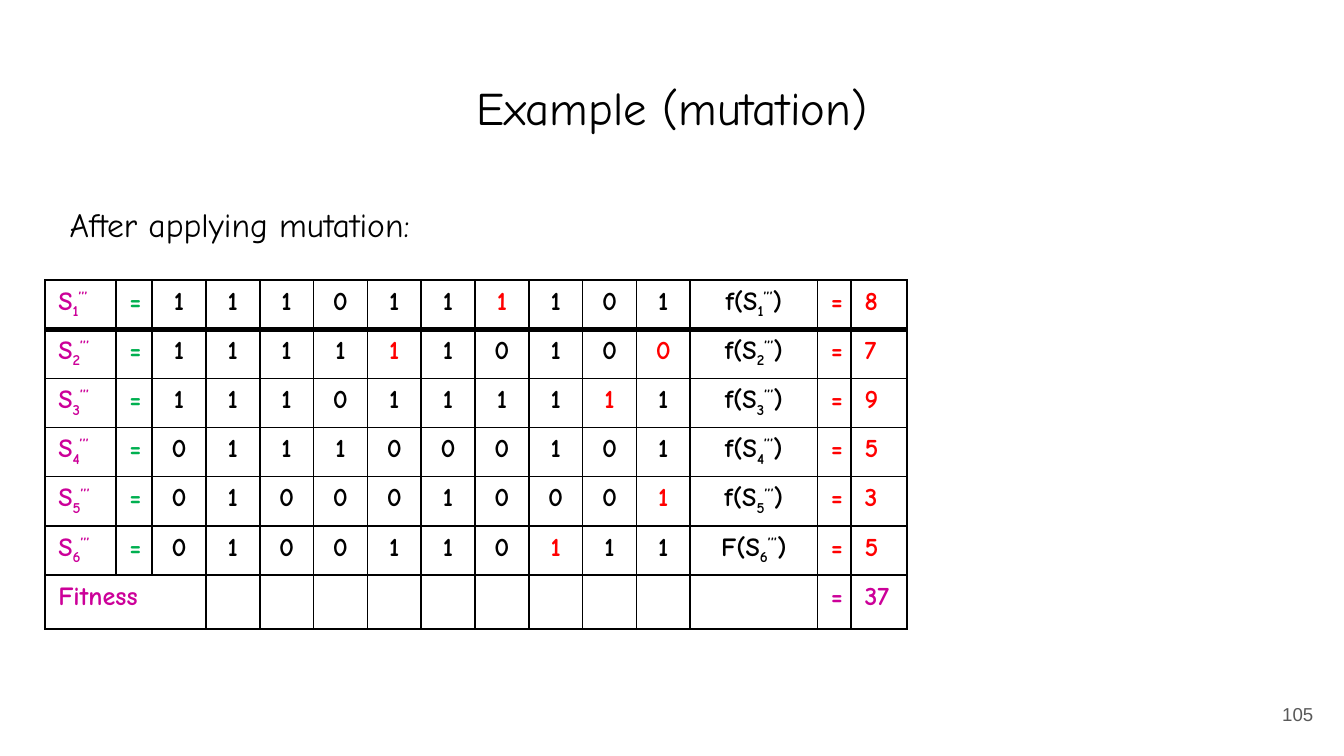
from lxml import etree
from pptx import Presentation
from pptx.dml.color import RGBColor
from pptx.enum.text import MSO_ANCHOR, PP_ALIGN
from pptx.oxml.ns import qn
from pptx.util import Pt

LEFT, CENTER, RIGHT = PP_ALIGN.LEFT, PP_ALIGN.CENTER, PP_ALIGN.RIGHT
TOP, MIDDLE = MSO_ANCHOR.TOP, MSO_ANCHOR.MIDDLE

THEME = {
    "black": "000000",
    "grey": "595959",
    "purple": "CC0099",
    "green": "00B050",
    "red": "FF0000",
    "title": {"name": "Comic Neue", "size": Pt(25), "bold": False},
    "lead": {"name": "Comic Neue", "size": Pt(18), "bold": False},
    "cell": {"name": "Comic Neue", "size": Pt(14), "bold": True},
    "number": {"name": "Arial", "size": Pt(10), "bold": False},
}
SUBSCRIPT, SUPERSCRIPT = -25000, 30000


def write(frame, parts, style, color, align=LEFT):
    """Fill the first paragraph with (text, baseline) parts in one style."""
    para = frame.paragraphs[0]
    para.alignment = align
    for text, baseline in parts:
        span = para.add_run()
        span.text = text
        for name, value in THEME[style].items():
            setattr(span.font, name, value)
        span.font.color.rgb = RGBColor.from_string(THEME[color])
        if baseline:
            span.font._element.set("baseline", str(baseline))


def draw_borders(cell, widths):
    """Set solid borders from a dict of side letter to width in points."""
    properties = cell._tc.get_or_add_tcPr()
    for index, (side, width) in enumerate(widths.items()):
        line = etree.Element(qn(f"a:ln{side}"), w=str(Pt(width)))
        fill = etree.SubElement(line, qn("a:solidFill"))
        etree.SubElement(fill, qn("a:srgbClr"), val=THEME["black"])
        properties.insert(index, line)


deck = Presentation()
deck.slide_width, deck.slide_height = Pt(720), Pt(405)
page = deck.slides.add_slide(deck.slide_layouts[6])

# Title, lead-in and page number
text_boxes = [
    ("Example (mutation)", (24.5, 35.3, 671, 45.4), "title", "black", CENTER, TOP),
    ("After applying mutation:", (30.2, 102.2, 236.2, 36), "lead", "black", LEFT, TOP),
    ("105", (667.4, 367.2, 43.2, 31), "number", "grey", RIGHT, MIDDLE),
]
for text, place, style, color, align, anchor in text_boxes:
    frame = page.shapes.add_textbox(*map(Pt, place)).text_frame
    margins = dict.fromkeys(("margin_left", "margin_right", "margin_top", "margin_bottom"), Pt(7.2))
    for name, value in {"word_wrap": True, "vertical_anchor": anchor, **margins}.items():
        setattr(frame, name, value)
    write(frame, [(text, 0)], style, color, align)

# Chromosomes: bits, mutated positions, function letter, fitness
chromosomes = [
    ("1110111101", {6}, "f", 8),
    ("1111110100", {4, 9}, "f", 7),
    ("1110111111", {8}, "f", 9),
    ("0111000101", set(), "f", 5),
    ("0100010001", {9}, "f", 3),
    ("0100110111", {7}, "F", 5),
]
column_widths = [38.1, 19.4] + [28.85] * 10 + [68.2, 18, 30.1]
row_height = 26.3
total_row = len(chromosomes)
row_count, column_count = total_row + 1, len(column_widths)

table = page.shapes.add_table(
    row_count, column_count, Pt(24), Pt(150), Pt(sum(column_widths)), Pt(row_height * row_count)
).table
table.first_row = table.horz_banding = False
for column, width in zip(table.columns, column_widths):
    column.width = Pt(width)
for row in table.rows:
    row.height = Pt(row_height)

for row in range(row_count):
    for column in range(column_count):
        cell = table.cell(row, column)
        cell.fill.background()
        draw_borders(cell, {"L": 1, "R": 1, "T": 3 if row == 1 else 1, "B": 3 if row == 0 else 1})

for row, (bits, mutated, letter, fitness) in enumerate(chromosomes):
    marks = [(str(row + 1), SUBSCRIPT), ("’’’", SUPERSCRIPT)]
    contents = [([("S", 0)] + marks, "purple", LEFT), ([("=", 0)], "green", LEFT)]
    for position, bit in enumerate(bits):
        contents.append(([(bit, 0)], "red" if position in mutated else "black", CENTER))
    contents += [
        ([(f"{letter}(S", 0)] + marks + [(")", 0)], "black", CENTER),
        ([("=", 0)], "red", LEFT),
        ([(str(fitness), 0)], "red", LEFT),
    ]
    for column, (parts, color, align) in enumerate(contents):
        write(table.cell(row, column).text_frame, parts, "cell", color, align)

# Total fitness
table.cell(total_row, 0).merge(table.cell(total_row, 2))
total = sum(fitness for *_, fitness in chromosomes)
for column, text in ((0, "Fitness"), (column_count - 2, "="), (column_count - 1, str(total))):
    write(table.cell(total_row, column).text_frame, [(text, 0)], "cell", "purple")

deck.save("out.pptx")
